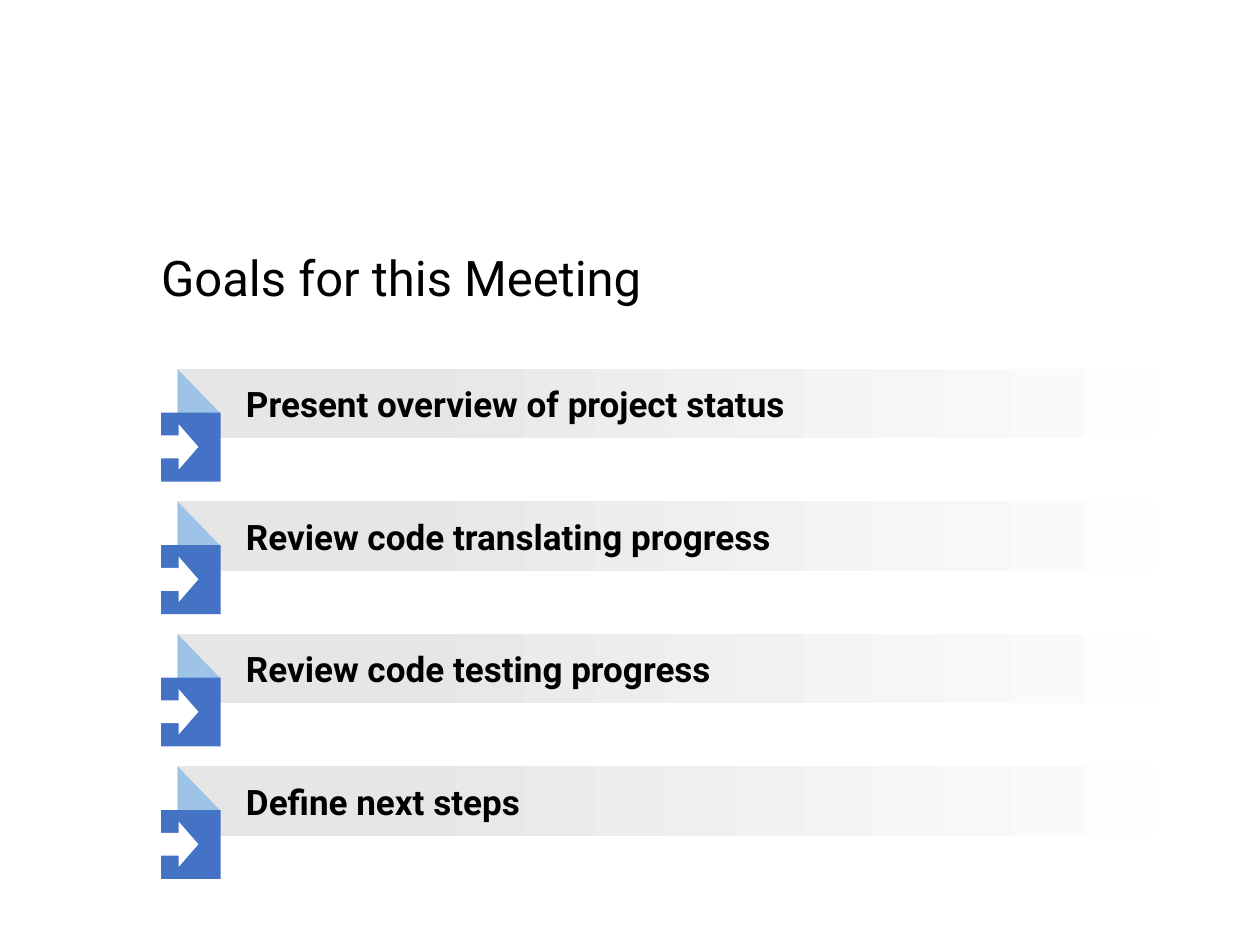
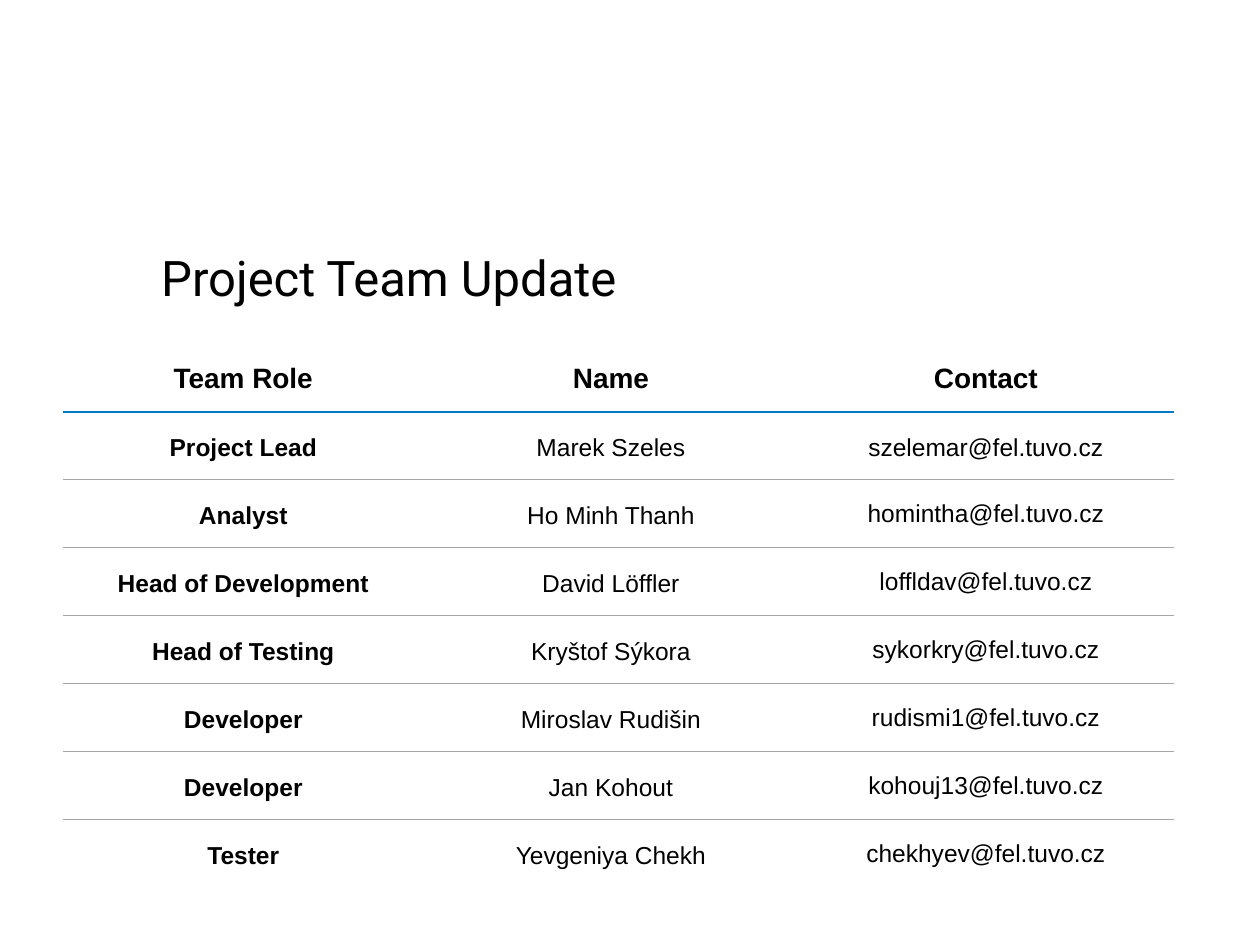
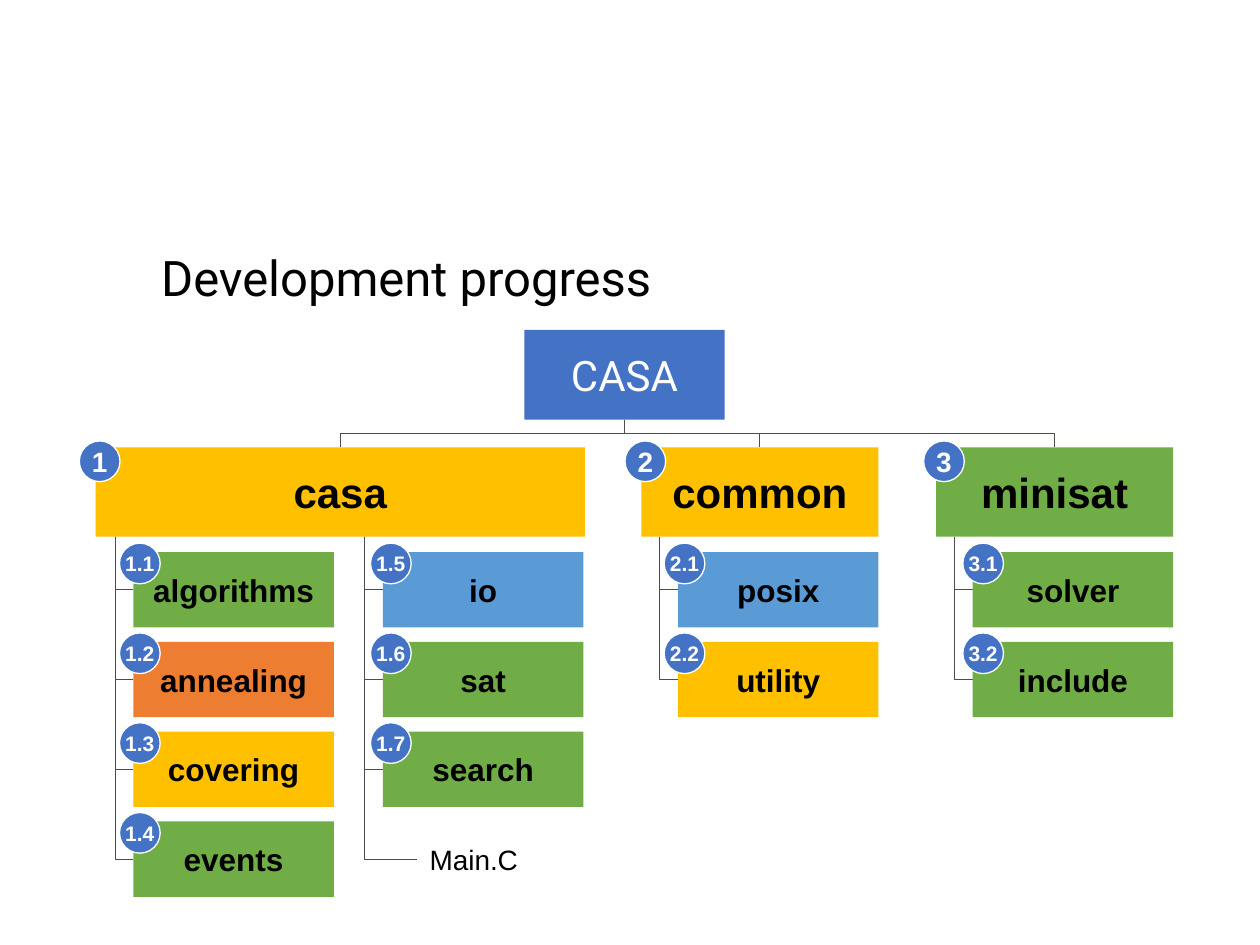
from lxml import etree
from pptx import Presentation
from pptx import util as u
from pptx.dml.color import RGBColor
from pptx.enum import shapes, text
from pptx.oxml import ns

BLACK = RGBColor(0x00, 0x00, 0x00)
WHITE = RGBColor(0xFF, 0xFF, 0xFF)
BLUE = RGBColor(0x44, 0x72, 0xC4)
PALE_BLUE = RGBColor(0x9D, 0xC3, 0xE6)
SKY = RGBColor(0x5B, 0x9B, 0xD5)
GREEN = RGBColor(0x70, 0xAD, 0x47)
AMBER = RGBColor(0xFF, 0xC0, 0x00)
ORANGE = RGBColor(0xED, 0x7D, 0x31)
SILVER = RGBColor(0xE7, 0xE6, 0xE6)
BRANCH = RGBColor(0x4D, 0x4D, 0x4D)
HEADER_RULE = RGBColor(0x00, 0x7A, 0xC2)
ROW_RULE = RGBColor(0xA6, 0xA6, 0xA6)

KIND = shapes.MSO_SHAPE
LEFT, CENTER = text.PP_ALIGN.LEFT, text.PP_ALIGN.CENTER
MIDDLE = text.MSO_ANCHOR.MIDDLE

TITLE = {"font": {"name": "Roboto", "size": u.Pt(28)}, "paragraph": {"line_spacing": 0.9},
         "frame": {"word_wrap": True}}
GOAL = {"font": {"name": "Roboto", "size": u.Pt(20), "bold": True},
        "paragraph": {"alignment": LEFT},
        "frame": {"word_wrap": True, "vertical_anchor": MIDDLE,
                  "margin_left": u.Cm(1.4), "margin_right": u.Cm(0.5)}}
ROOT = {"font": {"name": "Roboto", "size": u.Pt(24)}, "paragraph": {"alignment": CENTER},
        "frame": {"word_wrap": True, "vertical_anchor": MIDDLE}, "ink": WHITE}
SECTION = {**ROOT, "font": {"name": "Arial", "size": u.Pt(24), "bold": True}, "ink": BLACK}
MODULE = {**SECTION, "font": {"name": "Arial", "size": u.Pt(18), "bold": True}}
MAIN_FILE = {**SECTION, "font": {"name": "Arial", "size": u.Pt(16)},
             "paragraph": {"alignment": LEFT}}
BADGE_FRAME = {"word_wrap": False, "vertical_anchor": MIDDLE, "margin_left": 0,
               "margin_right": 0, "margin_top": 0, "margin_bottom": 0}
SECTION_BADGE = {**ROOT, "font": {"name": "Arial", "size": u.Pt(16), "bold": True},
                 "frame": BADGE_FRAME, "outline": WHITE}
MODULE_BADGE = {**SECTION_BADGE, "font": {"name": "Arial", "size": u.Pt(12), "bold": True}}


def place(slide, kind, box, fill=None, words="", style={}):
    lengths = [u.Cm(value) for value in box]
    if kind is None:
        item = slide.shapes.add_textbox(*lengths)
    else:
        item = slide.shapes.add_shape(kind, *lengths)
        item.shadow.inherit = False
        item.line.fill.background()
        if fill is not None:
            item.fill.solid()
            item.fill.fore_color.rgb = fill
        if "outline" in style:
            item.line.color.rgb = style["outline"]
            item.line.width = u.Pt(0.75)
    if words:
        paragraph = item.text_frame.paragraphs[0]
        run = paragraph.add_run()
        run.text = words
        run.font.color.rgb = style.get("ink", BLACK)
        for target, part in ((item.text_frame, "frame"), (paragraph, "paragraph"),
                             (run.font, "font")):
            for name, value in style.get(part, {}).items():
                setattr(target, name, value)
    return item


def branch(slide, start, end, preset):
    (x1, y1), (x2, y2) = start, end
    length, spread = y2 - y1, abs(x2 - x1)
    left, top = (x1 + x2 - length) / 2, (y1 + y2 - spread) / 2
    line = slide.shapes.add_connector(shapes.MSO_CONNECTOR.ELBOW, u.Cm(left), u.Cm(top),
                                      u.Cm(left + length), u.Cm(top + spread))
    line.line.color.rgb = BRANCH
    line.line.width = u.Pt(0.5)
    properties = line._element.spPr
    properties.find(ns.qn("a:prstGeom")).set("prst", preset)
    transform = properties.find(ns.qn("a:xfrm"))
    transform.set("rot", "5400000" if x2 < x1 else "16200000")
    if x2 >= x1:
        transform.set("flipH", "1")
    etree.SubElement(properties, ns.qn("a:effectLst"))


deck = Presentation()
deck.slide_width, deck.slide_height = u.Cm(25.4), u.Cm(19.05)
pages = []
for heading in ("Goals for this Meeting", "Project Team Update", "Development progress"):
    page = deck.slides.add_slide(deck.slide_layouts[6])
    place(page, None, (3, 5, 21.64, 3.02), words=heading, style=TITLE)
    pages.append(page)
goals_page, team_page, progress_page = pages

goals = ("Present overview of project status", "Review code translating progress",
         "Review code testing progress", "Define next steps")
for row, goal in enumerate(goals):
    top = 7.44 + row * 2.67
    bar = place(goals_page, KIND.RECTANGLE, (3.56, top, 21.08, 1.4), None, goal, GOAL)
    bar.fill.gradient()
    bar.fill.gradient_angle = 0
    for stop, position, color in zip(bar.fill.gradient_stops, (0.2, 1), (SILVER, WHITE)):
        stop.position = position
        stop.color.rgb = color
    place(goals_page, KIND.RIGHT_TRIANGLE, (3.58, top, 0.86, 0.89), PALE_BLUE)
    place(goals_page, KIND.RECTANGLE, (3.25, top + 0.88, 1.2, 1.39), BLUE)
    place(goals_page, KIND.RIGHT_ARROW, (3.2, top + 1.11, 0.8, 0.92), WHITE)

team = (("Team Role", "Name", "Contact"),
        ("Project Lead", "Marek Szeles", "szelemar@fel.tuvo.cz"),
        ("Analyst", "Ho Minh Thanh", "homintha@fel.tuvo.cz"),
        ("Head of Development", "David Löffler", "loffldav@fel.tuvo.cz"),
        ("Head of Testing", "Kryštof Sýkora", "sykorkry@fel.tuvo.cz"),
        ("Developer", "Miroslav Rudišin", "rudismi1@fel.tuvo.cz"),
        ("Developer", "Jan Kohout", "kohouj13@fel.tuvo.cz"),
        ("Tester", "Yevgeniya Chekh", "chekhyev@fel.tuvo.cz"))
team_frame = team_page.shapes.add_table(len(team), 3, u.Cm(1.27), u.Cm(6.88),
                                        u.Cm(22.39), u.Cm(11.01))
team_table = team_frame.table
team_table.first_row = team_table.horz_banding = False
team_table._tbl.tblPr.find(ns.qn("a:tableStyleId")).text = "{2D5ABB26-0587-4C30-8999-92F81FD0307C}"
for column, width in zip(team_table.columns, (7.27, 7.55, 7.57)):
    column.width = u.Cm(width)
for row, member in enumerate(team):
    team_table.rows[row].height = u.Cm(1.37 if row else 1.42)
    for column, words in enumerate(member):
        cell = team_table.cell(row, column)
        tight = row > 1 and column == 2
        side, edge = (0.03, 0.02) if tight else (0.18, 0.05)
        layout = {"vertical_anchor": MIDDLE, "margin_left": u.Cm(side),
                  "margin_right": u.Cm(side), "margin_top": u.Cm(edge),
                  "margin_bottom": u.Cm(edge)}
        paragraph = cell.text_frame.paragraphs[0]
        run = paragraph.add_run()
        run.text = words
        run.font.color.rgb = BLACK
        lettering = {"name": "Arial", "size": u.Pt(14 if row else 16),
                     "bold": row == 0 or column == 0}
        spacing = {"alignment": CENTER, "line_spacing": 1.0 if tight else 1.15}
        for target, values in ((cell, layout), (paragraph, spacing), (run.font, lettering)):
            for name, value in values.items():
                setattr(target, name, value)
        for tag, boundary in (("a:lnT", row), ("a:lnB", row + 1)):
            if 0 < boundary < len(team):
                color, points = (HEADER_RULE, 1.5) if boundary == 1 else (ROW_RULE, 1)
                rule = etree.SubElement(cell._tc.get_or_add_tcPr(), ns.qn(tag), w=str(u.Pt(points)))
                solid = etree.SubElement(rule, ns.qn("a:solidFill"))
                etree.SubElement(solid, ns.qn("a:srgbClr"), val=str(color))
        cell.fill.background()

ROOT_BOTTOM, SECTION_TOP, SECTION_HEIGHT = 8.46, 9.02, 1.8
MODULE_TOP, MODULE_PITCH, MODULE_WIDTH, MODULE_HEIGHT = 11.13, 1.81, 4.04, 1.52
BADGE_SIZE = 0.82

sections = (("1", "casa", AMBER, 1.93, 9.86, 1.6),
            ("2", "common", AMBER, 12.93, 4.78, 12.6),
            ("3", "minisat", GREEN, 18.87, 4.78, 18.62))
module_columns = (
    (2.69, 2.41, (("1.1", "algorithms", GREEN), ("1.2", "annealing", ORANGE),
                  ("1.3", "covering", AMBER), ("1.4", "events", GREEN))),
    (7.72, 7.47, (("1.5", "io", SKY), ("1.6", "sat", GREEN), ("1.7", "search", GREEN),
                  ("", "Main.C", None))),
    (13.67, 13.39, (("2.1", "posix", SKY), ("2.2", "utility", AMBER))),
    (19.61, 19.41, (("3.1", "solver", GREEN), ("3.2", "include", GREEN))))

place(progress_page, KIND.RECTANGLE, (10.57, 6.65, 4.04, 1.81), BLUE, "CASA", ROOT)
for number, label, color, left, width, badge_left in sections:
    branch(progress_page, (12.59, ROOT_BOTTOM), (left + width / 2, SECTION_TOP), "bentConnector3")
    place(progress_page, KIND.RECTANGLE, (left, SECTION_TOP, width, SECTION_HEIGHT),
          color, label, SECTION)
    place(progress_page, KIND.OVAL, (badge_left, SECTION_TOP - 0.13, BADGE_SIZE, BADGE_SIZE),
          BLUE, number, SECTION_BADGE)

for left, badge_left, modules in module_columns:
    for row, (number, label, color) in enumerate(modules):
        top = MODULE_TOP + row * MODULE_PITCH
        indent = 0 if number else 0.69
        branch(progress_page, (left - 0.37, SECTION_TOP + SECTION_HEIGHT),
               (left + indent, top + MODULE_HEIGHT / 2), "bentConnector2")
        box = (left + indent, top, MODULE_WIDTH - indent, MODULE_HEIGHT)
        if number:
            place(progress_page, KIND.RECTANGLE, box, color, label, MODULE)
            place(progress_page, KIND.OVAL, (badge_left, top - 0.18, BADGE_SIZE, BADGE_SIZE),
                  BLUE, number, MODULE_BADGE)
        else:
            place(progress_page, None, box, words=label, style=MAIN_FILE)

deck.save("out.pptx")
